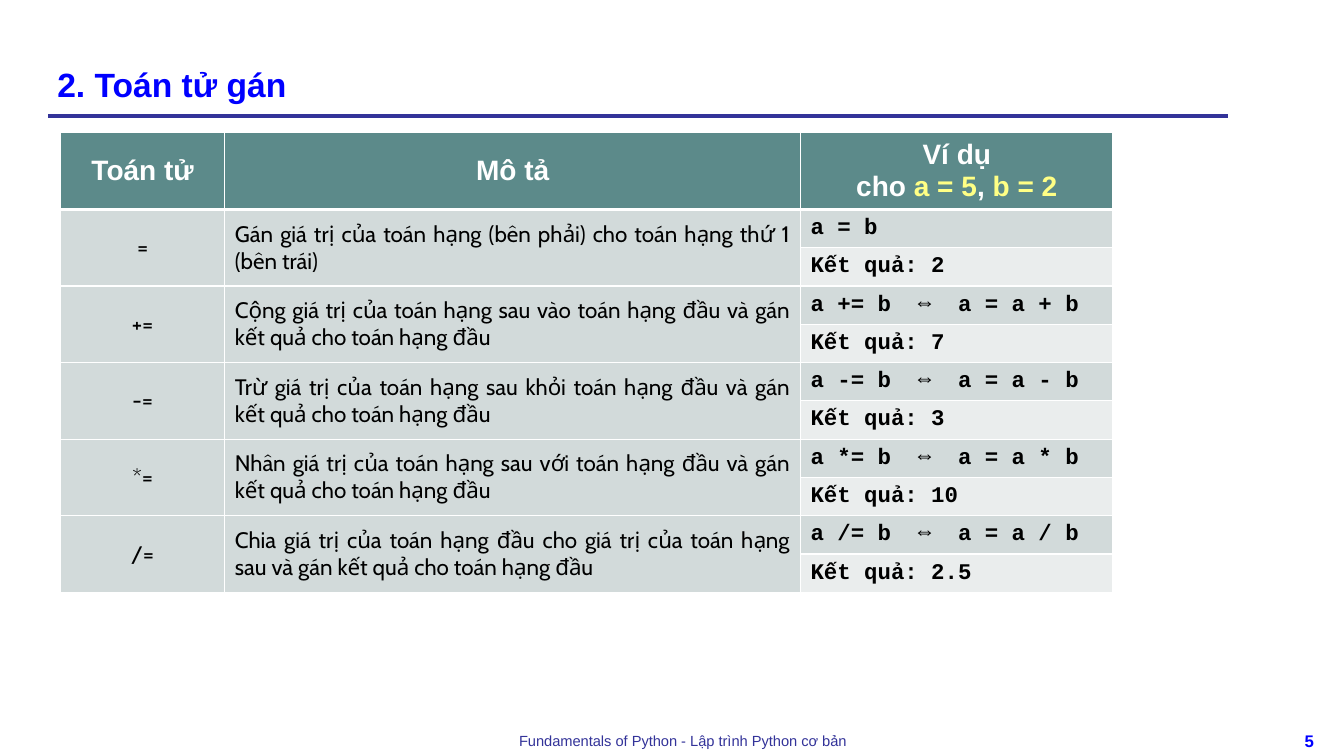
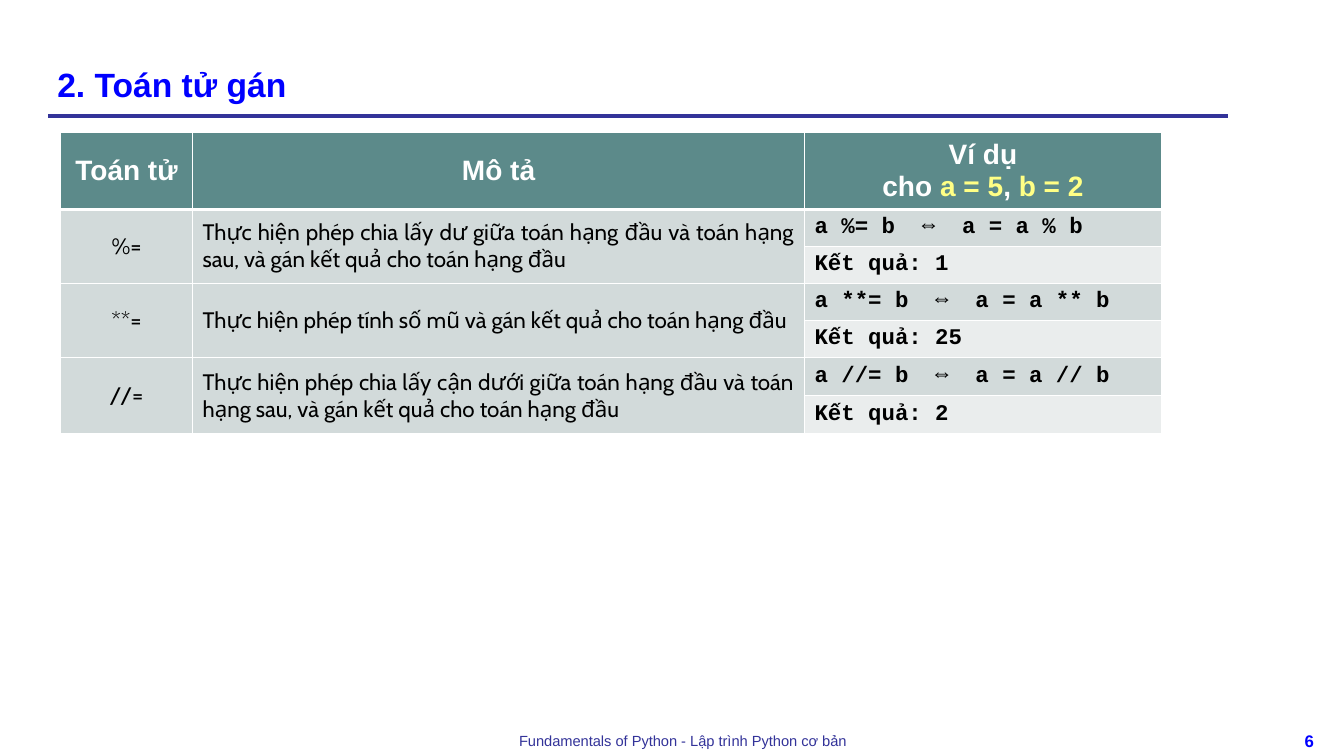
from lxml.etree import SubElement as Sub
from pptx import Presentation
from pptx.dml.color import RGBColor
from pptx.enum.shapes import MSO_CONNECTOR as Link
from pptx.enum.text import MSO_ANCHOR as Anchor, PP_ALIGN as Align
from pptx.oxml.ns import qn
from pptx.util import Inches, Pt

BLUE = RGBColor(0x00, 0x00, 0xFF)
NAVY = RGBColor(0x33, 0x33, 0x99)
TEAL = RGBColor(0x5C, 0x8A, 0x8A)
MIST = RGBColor(0xD2, 0xDA, 0xDA)
PALE = RGBColor(0xEA, 0xED, 0xED)
YELLOW = RGBColor(0xFF, 0xFF, 0x85)
WHITE = RGBColor(0xFF, 0xFF, 0xFF)
BLACK = RGBColor(0x00, 0x00, 0x00)

TITLE = "2. Toán tử gán"
FOOTER = "Fundamentals of Python - Lập trình Python cơ bản"
HEADS = [
    "Toán tử",
    "Mô tả",
    [["Ví dụ"], ["cho ", ("a = 5", YELLOW), ", ", ("b = 2", YELLOW)]],
]

BASIC = [
    ("=", "Gán giá trị của toán hạng (bên phải) cho toán hạng thứ 1 (bên trái)", "2"),
    ("+=", "Cộng giá trị của toán hạng sau vào toán hạng đầu và gán "
           "kết quả cho toán hạng đầu", "7"),
    ("-=", "Trừ giá trị của toán hạng sau khỏi toán hạng đầu và gán "
           "kết quả cho toán hạng đầu", "3"),
    ("*=", "Nhân giá trị của toán hạng sau với toán hạng đầu và gán "
           "kết quả cho toán hạng đầu", "10"),
    ("/=", "Chia giá trị của toán hạng đầu cho giá trị của toán hạng sau "
           "và gán kết quả cho toán hạng đầu", "2.5"),
]
EXTRA = [
    ("%=", "Thực hiện phép chia lấy dư giữa toán hạng đầu và toán hạng sau, "
           "và gán kết quả cho toán hạng đầu", "1"),
    ("**=", "Thực hiện phép tính số mũ và gán kết quả cho toán hạng đầu", "25"),
    ("//=", "Thực hiện phép chia lấy cận dưới giữa toán hạng đầu và toán hạng sau, "
            "và gán kết quả cho toán hạng đầu", "2"),
]


def write(frame, text, size=16, font="Arial", color=BLACK, bold=False,
          align=Align.LEFT):
    """Fill a frame with a string, or with paragraphs of strings and (string, colour) pairs."""
    paras = [[text]] if isinstance(text, str) else text
    for i, parts in enumerate(paras):
        para = frame.add_paragraph() if i else frame.paragraphs[0]
        para.alignment = align
        for part in parts:
            word, tint = (part, color) if isinstance(part, str) else part
            run = para.add_run()
            run.text = word
            run.font.size = Pt(size)
            run.font.name = font
            run.font.bold = bold
            run.font.color.rgb = tint


def sample(sign):
    if sign == "=":
        return "a = b"
    return f"a {sign} b  ⇔  a = a {sign[:-1]} b"


class Deck:
    def __init__(self):
        self.show = Presentation()
        self.show.slide_width = Inches(13.33)
        self.show.slide_height = Inches(7.5)
        self.slide = None

    def page(self, number):
        """Start a slide with the shared title, rule and footer."""
        self.slide = self.show.slides.add_slide(self.show.slide_layouts[6])
        self.rule(0.48, 1.15, 12.18)
        self.label(FOOTER, 3.22, 7.21, 7.11, 0.29, size=10.5, color=NAVY,
                   align=Align.CENTER)
        self.label(str(number), 12.67, 7.2, 0.63, 0.3, size=12, color=BLUE,
                   bold=True, align=Align.CENTER)
        self.label(TITLE, 0.47, 0.21, 11.55, 0.87, Anchor.BOTTOM, size=24,
                   color=BLUE, bold=True)

    def rule(self, left, top, right):
        line = self.slide.shapes.add_connector(
            Link.STRAIGHT, Inches(left), Inches(top), Inches(right), Inches(top))
        line.line.color.rgb = NAVY
        line.line.width = Pt(3)
        Sub(line._element.spPr, qn("a:effectLst"))

    def label(self, text, left, top, width, height, anchor=Anchor.TOP, **style):
        box = self.slide.shapes.add_textbox(
            Inches(left), Inches(top), Inches(width), Inches(height))
        frame = box.text_frame
        frame.word_wrap = True
        frame.vertical_anchor = anchor
        write(frame, text, **style)

    def paint(self, cell, fill, over=1, under=1):
        """Set borders, with the top and bottom widths in points, then the fill."""
        props = cell._tc.get_or_add_tcPr()
        for side, width in zip("LRTB", (1, 1, over, under)):
            edge = Sub(props, qn(f"a:ln{side}"), w=str(Pt(width)))
            Sub(Sub(edge, qn("a:solidFill")), qn("a:srgbClr"), val=str(WHITE))
        cell.fill.solid()
        cell.fill.fore_color.rgb = fill
        cell.vertical_anchor = Anchor.MIDDLE

    def table(self, items, cols, rows):
        grid = self.slide.shapes.add_table(
            len(rows), len(cols), Inches(0.6), Inches(1.31),
            Inches(sum(cols)), Inches(sum(rows))).table
        for col, width in zip(grid.columns, cols):
            col.width = Inches(width)
        for row, height in zip(grid.rows, rows):
            row.height = Inches(height)

        for c, head in enumerate(HEADS):
            self.paint(grid.cell(0, c), TEAL, under=3)
            write(grid.cell(0, c).text_frame, head, size=20, color=WHITE,
                  bold=True, align=Align.CENTER)
        for r in range(1, len(rows)):
            for c in range(len(cols)):
                fill = PALE if c == 2 and r % 2 == 0 else MIST
                self.paint(grid.cell(r, c), fill, over=3 if r == 1 else 1)

        for i, (sign, note, value) in enumerate(items):
            r = 2 * i + 1
            for c, text, align in ((0, sign, Align.CENTER), (1, note, Align.JUSTIFY)):
                grid.cell(r, c).merge(grid.cell(r + 1, c))
                write(grid.cell(r, c).text_frame, text, font="Cabin", align=align)
            for step, text in enumerate((sample(sign), f"Kết quả: {value}")):
                write(grid.cell(r + step, 2).text_frame, text, font="Courier New",
                      bold=True, align=Align.JUSTIFY)


def main():
    deck = Deck()
    deck.page(5)
    deck.table(BASIC, [1.63, 5.71, 3.1], [0.72] + [0.38] * 10)
    deck.page(6)
    deck.table(EXTRA, [1.31, 6.07, 3.54], [0.72] + [0.35] * 4 + [0.38] * 2)
    deck.show.save("out.pptx")


if __name__ == "__main__":
    main()
